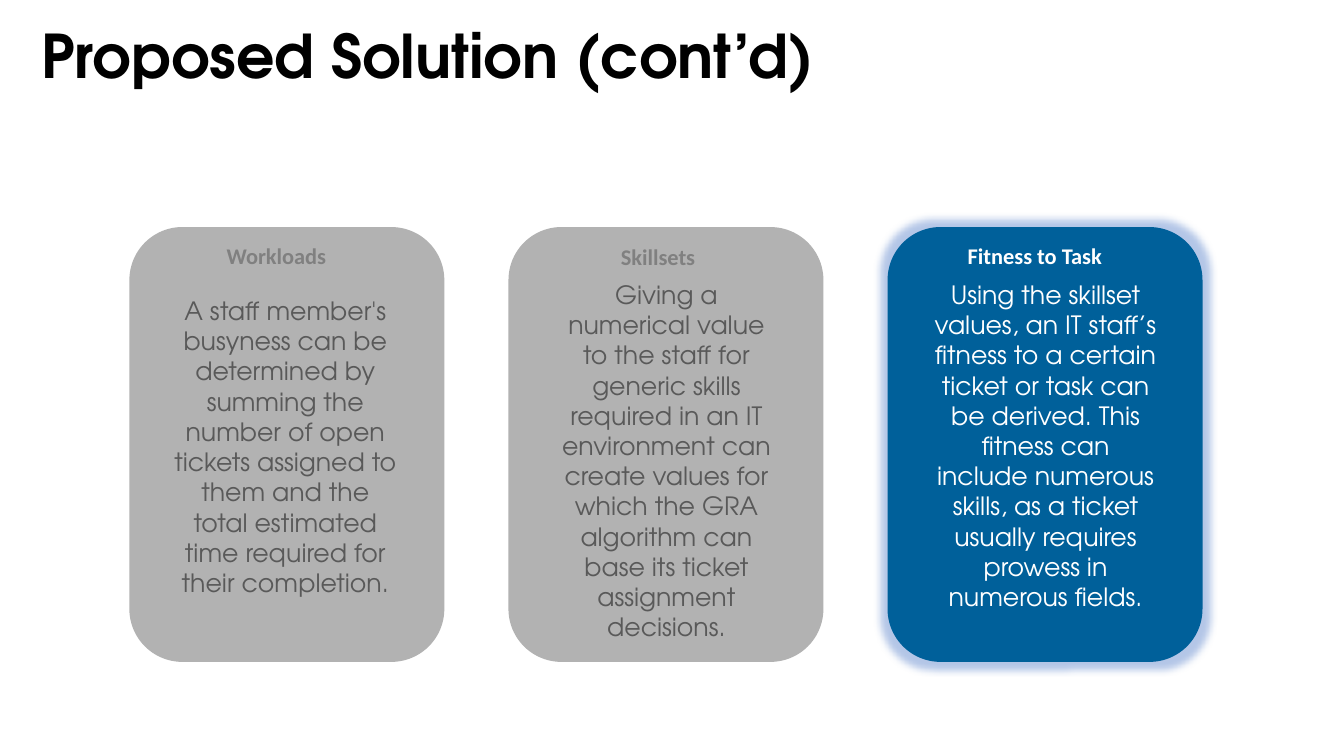
from dataclasses import dataclass
from typing import NamedTuple

from lxml import etree
from pptx import Presentation
from pptx.dml.color import RGBColor as RGB
from pptx.enum.shapes import MSO_SHAPE as SHAPE
from pptx.enum.text import MSO_ANCHOR as ANCHOR, MSO_AUTO_SIZE as AUTOSIZE, PP_ALIGN as ALIGN
from pptx.oxml.ns import qn
from pptx.util import Emu, Pt

PX = 9144  # EMU per px, 100 px to the inch


@dataclass(frozen=True)
class Theme:
    title_font: str = "TeX Gyre Adventor"
    heading_font: str = "Calibri"
    title_size: int = 43
    heading_size: int = 16
    body_size: int = 18
    title: str = "000000"
    active: str = "00609A"
    active_text: str = "FFFFFF"
    faded: str = "B2B2B2"
    faded_heading: str = "808080"
    faded_body: str = "595959"
    glow: str = "4472C4"


THEME = Theme()


class Box(NamedTuple):
    left: int
    top: int
    width: int
    height: int

    def inner(self, dx, dy, width, height):
        return Box(self.left + dx, self.top + dy, width, height)

    def emu(self):
        return [Emu(length * PX) for length in self]


class Card(NamedTuple):
    heading: str
    body: str
    heading_box: tuple
    body_box: tuple
    active: bool = False


CARDS = [
    Card("Workloads",
         "A staff member's busyness can be determined by summing the number of open "
         "tickets assigned to them and the total estimated time required for their completion.",
         (86, 9, 138, 37), (34, 62, 240, 313)),
    Card("Skillsets",
         "Giving a numerical value to the staff for generic skills required in an IT "
         "environment can create values for which the GRA algorithm can base its ticket "
         "assignment decisions.",
         (101, 10, 110, 37), (36, 46, 240, 374)),
    Card("Fitness to Task",
         "Using the skillset values, an IT staff’s fitness to a certain ticket or task can "
         "be derived. This fitness can include numerous skills, as a ticket usually requires "
         "prowess in numerous fields.",
         (69, 9, 177, 37), (36, 46, 240, 374), active=True),
]


def add_text(slide, box, text, font, size, color, bold=False, align=ALIGN.CENTER, wrap=True):
    frame = slide.shapes.add_textbox(*box.emu()).text_frame
    frame.word_wrap = wrap
    frame.text = text
    paragraph = frame.paragraphs[0]
    paragraph.alignment = align
    style = paragraph.runs[0].font
    style.name, style.size, style.bold = font, Pt(size), bold
    style.color.rgb = RGB.from_string(color)
    return frame


def add_glow(shape, radius):
    effects = shape._element.spPr.find(qn("a:effectLst"))
    glow = etree.SubElement(effects, qn("a:glow"), rad=str(radius * PX))
    color = etree.SubElement(glow, qn("a:srgbClr"), val=THEME.glow)
    etree.SubElement(color, qn("a:alpha"), val="40000")


def add_title(slide, box, text):
    frame = add_text(slide, box, text, THEME.title_font, THEME.title_size, THEME.title, bold=True)
    frame.vertical_anchor = ANCHOR.BOTTOM
    frame.paragraphs[0].line_spacing = 0.9


def add_card(slide, box, card):
    panel = slide.shapes.add_shape(SHAPE.ROUNDED_RECTANGLE, *box.emu())
    panel.shadow.inherit = False
    fill = RGB.from_string(THEME.active if card.active else THEME.faded)
    panel.fill.solid()
    panel.fill.fore_color.rgb = fill
    panel.line.color.rgb = fill
    panel.line.width = Pt(1)
    if card.active:
        add_glow(panel, radius=15)

    heading_color = THEME.active_text if card.active else THEME.faded_heading
    body_color = THEME.active_text if card.active else THEME.faded_body
    heading = add_text(slide, box.inner(*card.heading_box), card.heading, THEME.heading_font,
                       THEME.heading_size, heading_color, bold=True, align=ALIGN.LEFT, wrap=False)
    body = add_text(slide, box.inner(*card.body_box), card.body, THEME.title_font,
                    THEME.body_size, body_color)
    for frame in (heading, body):
        frame.auto_size = AUTOSIZE.SHAPE_TO_FIT_TEXT


def add_card_row(slide, box, cards, card_width):
    pitch = (box.width - card_width) // (len(cards) - 1)
    for index, card in enumerate(cards):
        add_card(slide, box.inner(index * pitch, 0, card_width, box.height), card)


def main():
    deck = Presentation()
    deck.slide_width, deck.slide_height = Emu(1333 * PX), Emu(750 * PX)
    slide = deck.slides.add_slide(deck.slide_layouts[6])
    add_title(slide, Box(23, -1, 802, 97), "Proposed Solution (cont’d)")
    add_card_row(slide, Box(129, 226, 1064, 430), CARDS, card_width=311)
    deck.save("out.pptx")


if __name__ == "__main__":
    main()
